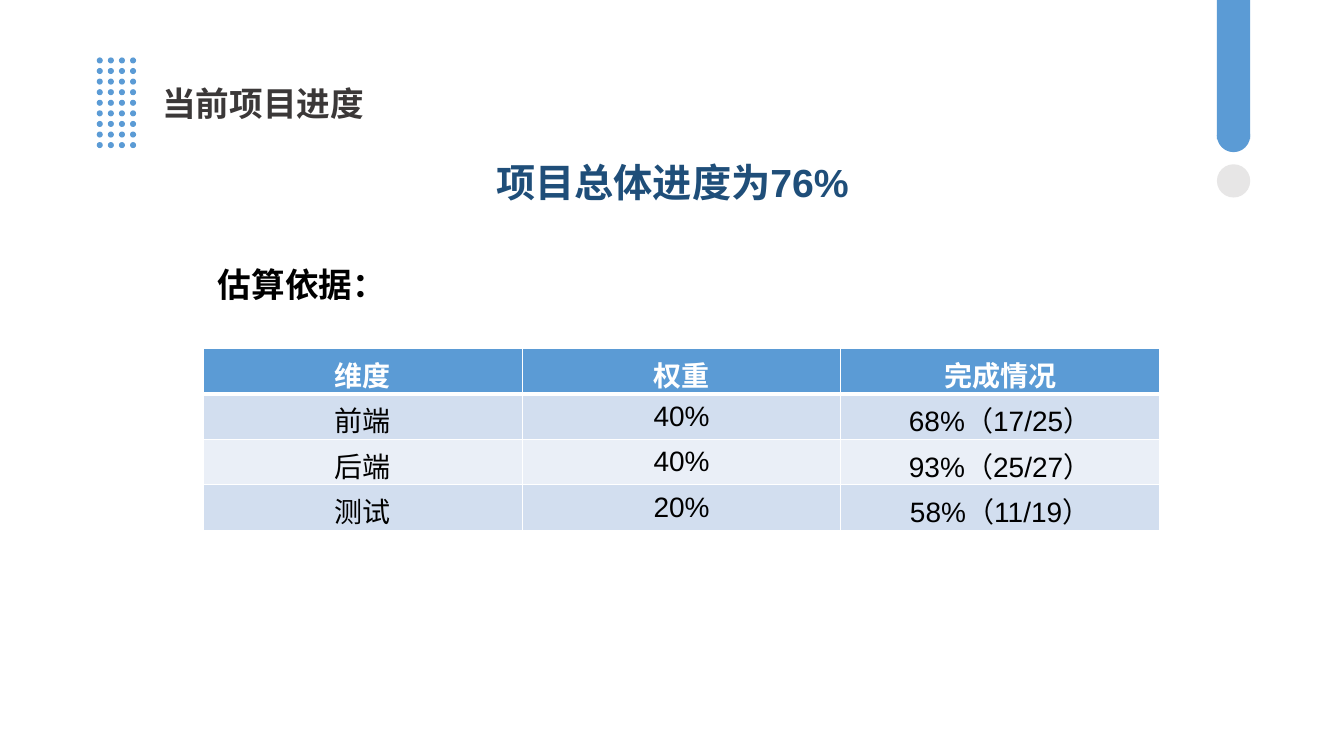
import pptx
import pptx.dml.color
import pptx.enum.shapes
import pptx.enum.text
import pptx.oxml
import pptx.oxml.ns
import pptx.util
from pptx.util import Inches

RGBColor = pptx.dml.color.RGBColor
Align = pptx.enum.text.PP_ALIGN
Anchor = pptx.enum.text.MSO_ANCHOR
Shape = pptx.enum.shapes.MSO_SHAPE

BLUE = RGBColor(0x5B, 0x9B, 0xD5)
NAVY = RGBColor(0x1F, 0x4E, 0x79)
CHARCOAL = RGBColor(0x3B, 0x38, 0x38)
GREY = RGBColor(0xE7, 0xE6, 0xE6)
BAND_DARK = RGBColor(0xD2, 0xDE, 0xEF)
BAND_LIGHT = RGBColor(0xEA, 0xEF, 0xF7)
WHITE = RGBColor(0xFF, 0xFF, 0xFF)
BLACK = RGBColor(0, 0, 0)

PROGRESS = [
    ("维度", "权重", "完成情况"),
    ("前端", "40%", "68%（17/25）"),
    ("后端", "40%", "93%（25/27）"),
    ("测试", "20%", "58%（11/19）"),
]


class SlideBuilder:
    font_name = "Arial"

    def __init__(self, presentation):
        self.slide = presentation.slides.add_slide(presentation.slide_layouts[5])

    def add_run(self, frame, text, size, color, bold, align):
        paragraph = frame.paragraphs[0]
        paragraph.alignment = align
        run = paragraph.add_run()
        run.text = text
        run.font.name = self.font_name
        run.font.size = pptx.util.Pt(size)
        run.font.bold = bold
        run.font.color.rgb = color

    def fit(self, frame, wrap):
        frame.word_wrap = wrap
        frame.vertical_anchor = Anchor.TOP
        frame.auto_size = pptx.enum.text.MSO_AUTO_SIZE.SHAPE_TO_FIT_TEXT

    def title(self, text, left, top, width, height):
        shape = self.slide.shapes.title
        shape.left, shape.top = Inches(left), Inches(top)
        shape.width, shape.height = Inches(width), Inches(height)
        self.fit(shape.text_frame, True)
        self.add_run(shape.text_frame, text, 24, CHARCOAL, True, Align.JUSTIFY)

    def text(self, text, left, top, width, height, size, color, wrap):
        shape = self.slide.shapes.add_textbox(
            Inches(left), Inches(top), Inches(width), Inches(height))
        self.fit(shape.text_frame, wrap)
        self.add_run(shape.text_frame, text, size, color, True, Align.CENTER)

    def group(self):
        return self.slide.shapes.add_group_shape()

    def shape(self, group, kind, left, top, width, height, color):
        shape = group.shapes.add_shape(
            kind, Inches(left), Inches(top), Inches(width), Inches(height))
        shape.shadow.inherit = False
        shape.fill.solid()
        shape.fill.fore_color.rgb = color
        shape.line.fill.background()

    def border(self, cell, side, points):
        """Add a white border; call in the order L, R, T, B and before the fill."""
        line = pptx.oxml.parse_xml(
            f'<a:{side} {pptx.oxml.ns.nsdecls("a")} w="{pptx.util.Pt(points)}">'
            f'<a:solidFill><a:srgbClr val="{WHITE}"/></a:solidFill></a:{side}>')
        cell._tc.get_or_add_tcPr().append(line)

    def table(self, rows, left, top, column_width, row_height):
        columns = len(rows[0])
        table = self.slide.shapes.add_table(
            len(rows), columns, Inches(left), Inches(top),
            Inches(column_width * columns), Inches(row_height * len(rows))).table
        for column in table.columns:
            column.width = Inches(column_width)
        for row_index, values in enumerate(rows):
            table.rows[row_index].height = Inches(row_height)
            header = row_index == 0
            band = BAND_DARK if row_index % 2 else BAND_LIGHT
            for column_index, value in enumerate(values):
                cell = table.cell(row_index, column_index)
                cell.vertical_anchor = Anchor.MIDDLE
                for side in ("lnL", "lnR", "lnT", "lnB"):
                    thick = (header and side == "lnB") or (row_index == 1 and side == "lnT")
                    self.border(cell, side, 3 if thick else 1)
                cell.fill.solid()
                cell.fill.fore_color.rgb = BLUE if header else band
                self.add_run(cell.text_frame, value, 20,
                             WHITE if header else BLACK, header, Align.CENTER)


def main():
    presentation = pptx.Presentation()
    presentation.slide_width = Inches(13.33)
    presentation.slide_height = Inches(7.5)

    builder = SlideBuilder(presentation)
    builder.title("当前项目进度", 1.51, 0.77, 2.42, 0.5)
    builder.text("项目总体进度为76%", 4.82, 1.52, 3.7, 0.57, 28, NAVY, True)
    builder.table(PROGRESS, 2.02, 3.46, 3.16, 0.45)
    builder.text("估算依据：", 2.06, 2.57, 1.87, 0.5, 24, BLACK, False)

    dots = builder.group()
    for column in range(4):
        for row in range(9):
            builder.shape(dots, Shape.OVAL, 0.96 + 0.11 * column,
                          0.57 + 0.84 * row / 8, 0.06, 0.06, BLUE)

    marker = builder.group()
    builder.shape(marker, Shape.RECTANGLE, 12.07, 0, 0.33, 1.38, BLUE)
    for top, color in ((1.18, BLUE), (1.63, GREY)):
        builder.shape(marker, Shape.OVAL, 12.07, top, 0.33, 0.33, color)

    presentation.save("out.pptx")


if __name__ == "__main__":
    main()
